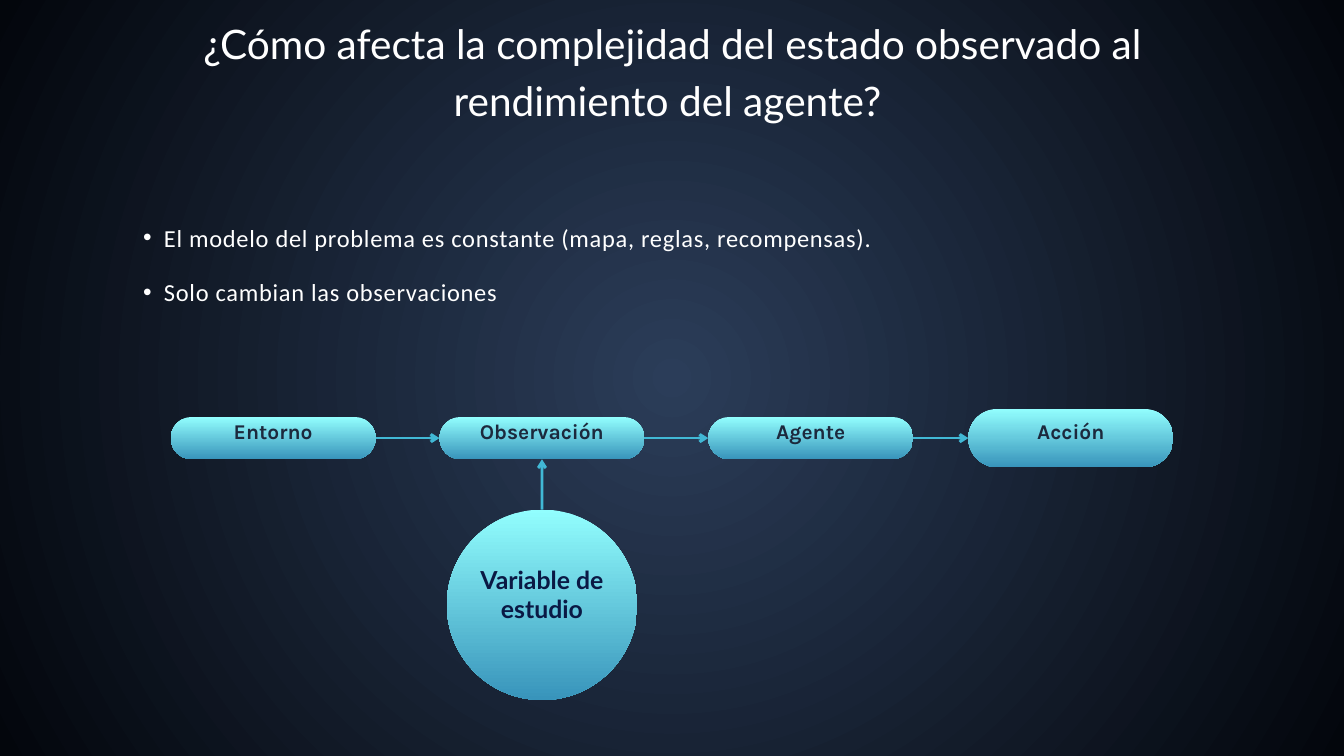
import pptx
import pptx.util
import pptx.dml.color
import pptx.enum.shapes
import pptx.enum.text
import pptx.oxml.ns
from lxml import etree

Pt = pptx.util.Pt
RGBColor = pptx.dml.color.RGBColor
MSO_SHAPE = pptx.enum.shapes.MSO_SHAPE
PP_ALIGN = pptx.enum.text.PP_ALIGN
MSO_ANCHOR = pptx.enum.text.MSO_ANCHOR
qn = pptx.oxml.ns.qn

BG_CENTER = RGBColor(0x2B, 0x3D, 0x59)
BG_EDGE = RGBColor(0x03, 0x06, 0x0C)
WHITE = RGBColor(0xFF, 0xFF, 0xFF)
CYAN = RGBColor(0x92, 0xFE, 0xFE)
BLUE = RGBColor(0x38, 0x94, 0xBB)
ARROW = RGBColor(0x41, 0xB8, 0xD5)
SLATE = RGBColor(0x1C, 0x29, 0x3D)
NAVY = RGBColor(0x0A, 0x19, 0x44)

prs = pptx.Presentation()
prs.slide_width = pptx.util.Inches(20)
prs.slide_height = pptx.util.Inches(11.25)
s = prs.slides.add_slide(prs.slide_layouts[6])
COL = prs.slide_width / 100
ROW = prs.slide_height / 100


def box(left, top, width, height, shape=None):
    area = [round(v) for v in (left * COL, top * ROW, width * COL, height * ROW)]
    if shape is None:
        sp = s.shapes.add_textbox(*area)
    else:
        sp = s.shapes.add_shape(shape, *area)
        sp.shadow.inherit = False
        sp.line.fill.background()
        sp.fill.gradient()
        sp.fill.gradient_angle = 270
        for stop, color, pos in zip(sp.fill.gradient_stops, (CYAN, BLUE), (0, 1)):
            stop.color.rgb, stop.position = color, pos
    tf = sp.text_frame
    tf.word_wrap = True
    tf.margin_left = tf.margin_right = tf.margin_top = tf.margin_bottom = 0
    return sp


def style(p, font, size, color, spacing, align=PP_ALIGN.CENTER, bold=False):
    p.alignment = align
    p.line_spacing = Pt(spacing)
    for r in p.runs:
        r.font.name = font
        r.font.size = Pt(size)
        r.font.bold = bold
        r.font.color.rgb = color


fill = s.background.fill
fill.gradient()
for stop, color, pos in zip(fill.gradient_stops, (BG_CENTER, BG_EDGE), (0, 1)):
    stop.color.rgb, stop.position = color, pos
grad = s.element.find(".//" + qn("a:gradFill"))
grad.remove(grad.find(qn("a:lin")))
circle = etree.SubElement(grad, qn("a:path"), path="circle")
etree.SubElement(circle, qn("a:fillToRect"), l="50000", t="50000", r="50000", b="50000")

tf = box(12.35, 1.42, 74.65, 17.42).text_frame
tf.text = " ¿Cómo afecta la complejidad del estado observado al rendimiento del agente?"
style(tf.paragraphs[0], "Lato", 43.5, WHITE, 60.8)

tf = box(9.1, 28.98, 66.75, 11.4).text_frame
tf.text = ("El modelo del problema es constante (mapa, reglas, recompensas).\n"
           "Solo cambian las observaciones")
for i, p in enumerate(tf.paragraphs):
    pPr = p._p.get_or_add_pPr()
    pPr.set("marL", str(round(3.1 * COL)))
    pPr.set("indent", str(round(-1.55 * COL)))
    etree.SubElement(pPr, qn("a:buFont"), typeface="Arial")
    etree.SubElement(pPr, qn("a:buChar"), char="•")
    p.level = 1
    if i:
        p.space_before = Pt(23)
    style(p, "Calibri", 26.2, WHITE, 35.3, PP_ALIGN.JUSTIFY)
    for r in p.runs:
        r.font._element.set("spc", "80")

PILL_W, PILL_MID, LABEL_MID, LABEL_H = 15.25, 57.95, 56.7, 8
steps = [("Entorno", 12.7, 5.6), ("Observación", 32.7, 5.6),
         ("Agente", 52.7, 5.6), ("Acción", 72.05, 7.73)]
pills = []
for name, left, height in steps:
    sp = box(left, PILL_MID - height / 2, PILL_W, height, MSO_SHAPE.ROUNDED_RECTANGLE)
    sp.adjustments[0] = 0.5
    pills.append(sp)
    tf = box(left, LABEL_MID - LABEL_H / 2, PILL_W, LABEL_H).text_frame
    tf.vertical_anchor = MSO_ANCHOR.MIDDLE
    tf.text = name
    style(tf.paragraphs[0], "Karla", 22.5, SLATE, 31.5, bold=True)

variable = box(33.25, 67.4, 14.17, 25.2, MSO_SHAPE.OVAL)
tf = variable.text_frame
tf.vertical_anchor = MSO_ANCHOR.MIDDLE
tf.margin_bottom = round(2.7 * ROW)
tf.text = "Variable de estudio"
style(tf.paragraphs[0], "Lato", 26.6, NAVY, 30.9, bold=True)

links = [(a, 3, b, 1) for a, b in zip(pills, pills[1:])] + [(variable, 0, pills[1], 2)]
for start, start_site, end, end_site in links:
    c = s.shapes.add_connector(pptx.enum.shapes.MSO_CONNECTOR.STRAIGHT, 0, 0, 0, 0)
    c.begin_connect(start, start_site)
    c.end_connect(end, end_site)
    c.line.color.rgb = ARROW
    c.line.width = Pt(3)
    etree.SubElement(c.line._get_or_add_ln(), qn("a:tailEnd"), type="arrow")
    etree.SubElement(c._element.spPr, qn("a:effectLst"))

prs.save("out.pptx")
